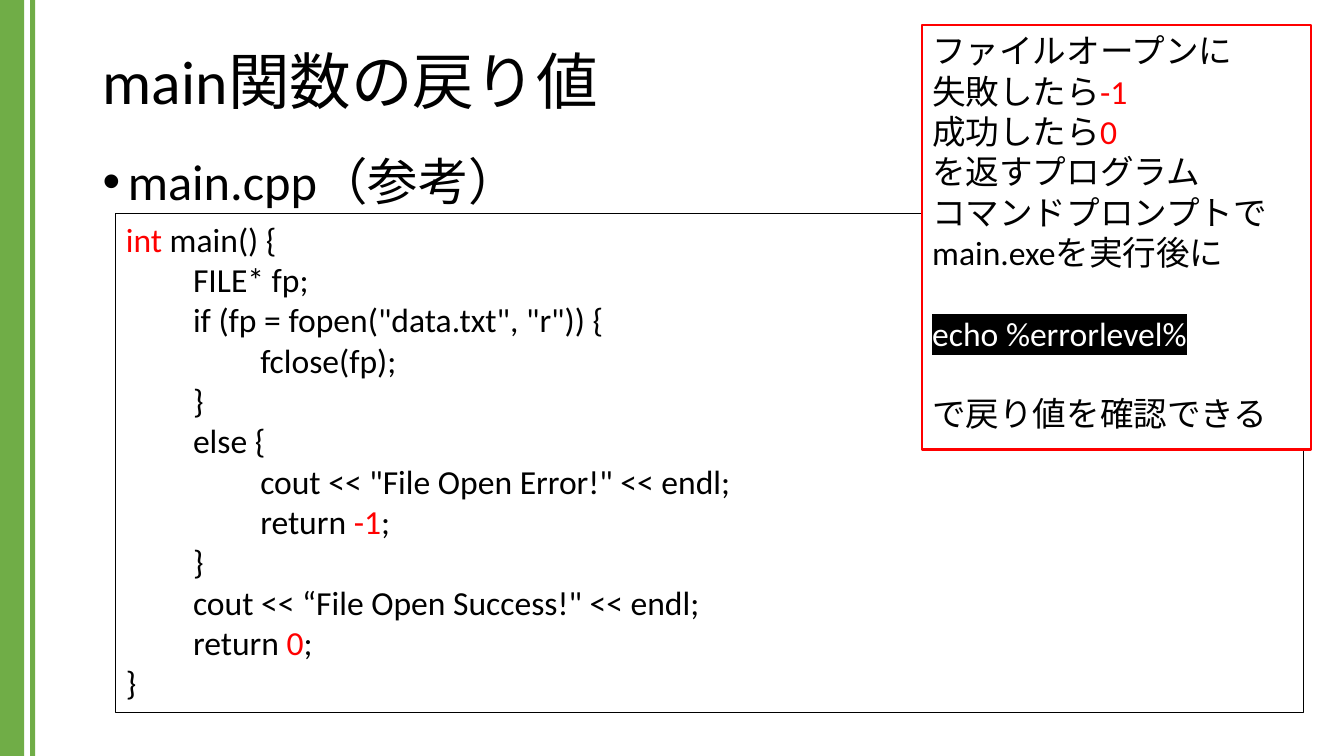
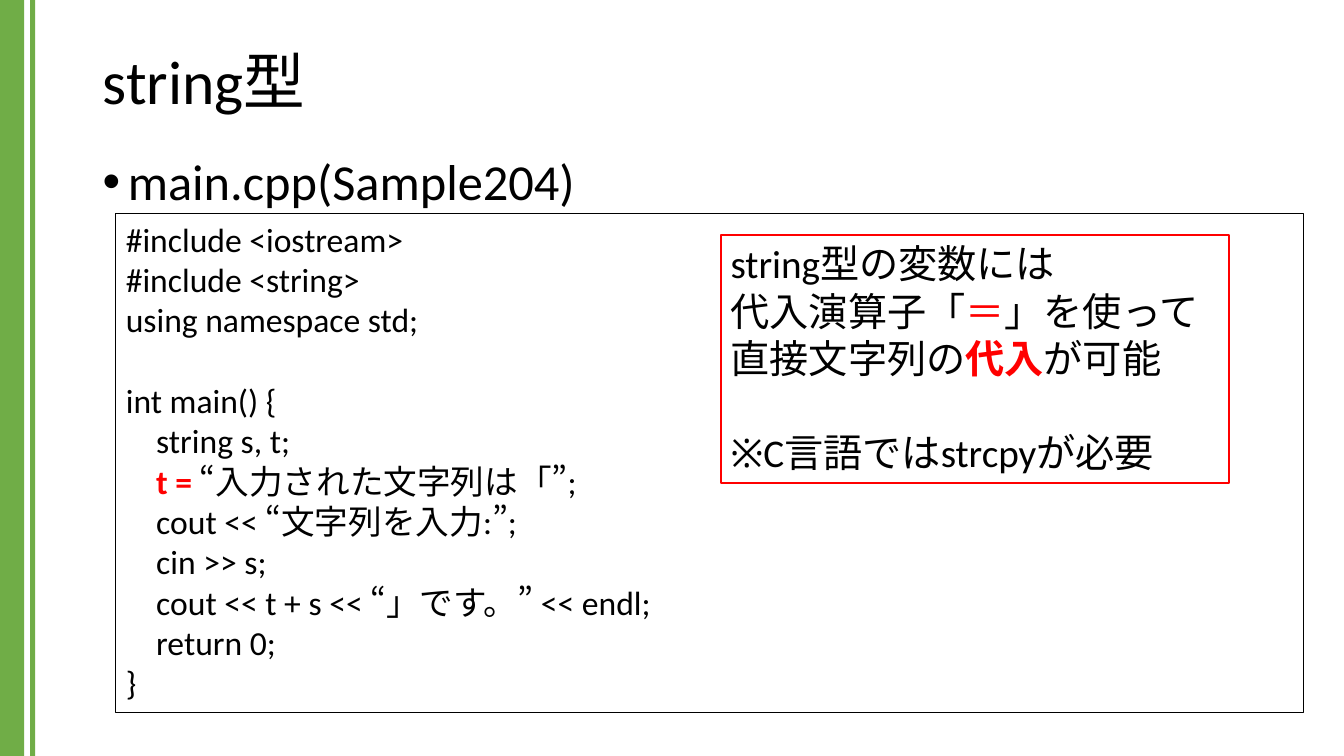
from lxml import etree
from pptx import Presentation
from pptx import util as u
from pptx.dml.color import RGBColor
from pptx.enum import lang, shapes, text
from pptx.oxml import ns

GREEN = RGBColor(0x70, 0xAD, 0x47)
RED = RGBColor(0xFF, 0, 0)
BLACK = RGBColor(0, 0, 0)
WHITE = RGBColor(0xFF, 0xFF, 0xFF)
FONT = "Calibri"
LINE_HEIGHT = 1.2  # times the text size

BANDS = [(0, 0, 0.24, 7.5), (0.3, 0, 0.05, 7.5)]
TITLE_BOX = (0.92, 0.4, 11.5, 0.87)
HEADING_BOX = (0.92, 1.51, 11.5, 0.62)
CODE_BOX = (1.15, 2.12, 11.78, 4.95)

# Run formats
ACCENT = {"color": RED}
STRONG = {"color": RED, "bold": True}
CONSOLE = {"color": WHITE, "highlight": BLACK}

# A line is a string or a list of strings and (string, format) pairs;
# GAP leaves the height of one line above the next.
GAP = None

RETURN_CODE = [
    [("int", ACCENT), " main() {"],
    "　　FILE* fp;",
    '　　if (fp = fopen("data.txt", "r")) {',
    "　　　　fclose(fp);",
    "　　}",
    "　　else {",
    '　　　　cout << "File Open Error!" << endl;',
    ["　　　　return ", ("-1", ACCENT), ";"],
    "　　}",
    '　　cout << “File Open Success!" << endl;',
    ["　　return ", ("0", ACCENT), ";"],
    "}",
]
RETURN_NOTE = [
    "ファイルオープンに",
    ["失敗したら", ("-1", ACCENT)],
    ["成功したら", ("0", ACCENT)],
    "を返すプログラム",
    "コマンドプロンプトで",
    "main.exeを実行後に",
    GAP,
    [("echo %errorlevel%", CONSOLE)],
    GAP,
    "で戻り値を確認できる",
]
STRING_CODE = [
    "#include <iostream>",
    "#include <string>",
    "using namespace std;",
    GAP,
    "int main() {",
    "    string s, t;",
    [("    t =", STRONG), " “", "入力された文字列は「”;"],
    "    cout << “文字列を入力:”;",
    "    cin >> s;",
    "    cout << t + s << “」です。” << endl;",
    "    return 0;",
    "}",
]
STRING_NOTE = [
    "string型の変数には",
    ["代入演算子「", ("＝", ACCENT), "」を使って"],
    ["直接文字列の", ("代入", STRONG), "が可能"],
    GAP,
    "※C言語ではstrcpyが必要",
]


def inches(box):
    return [u.Inches(length) for length in box]


def add_run(paragraph, content, size, color=BLACK, bold=False, highlight=None):
    run = paragraph.add_run()
    run.text = content
    font = run.font
    font.name, font.size, font.bold = FONT, u.Pt(size), bold
    font.language_id = lang.MSO_LANGUAGE_ID.JAPANESE
    font.color.rgb = color
    if highlight is not None:
        # The highlight must follow the fill
        mark = etree.Element(ns.qn("a:highlight"))
        etree.SubElement(mark, ns.qn("a:srgbClr"), val=str(highlight))
        run._r.rPr.find(ns.qn("a:solidFill")).addnext(mark)


def write_text(frame, lines, size, spacing=1.0, anchor=text.MSO_ANCHOR.TOP):
    """Fill a text frame with lines of formatted runs."""
    frame.word_wrap = True
    frame.auto_size = text.MSO_AUTO_SIZE.NONE
    frame.vertical_anchor = anchor
    paragraph, gap = None, 0
    for line in lines:
        if line is GAP:
            gap = size * LINE_HEIGHT
            continue
        paragraph = frame.add_paragraph() if paragraph else frame.paragraphs[0]
        paragraph.alignment = text.PP_ALIGN.LEFT
        paragraph.line_spacing = spacing
        paragraph.space_before = u.Pt(gap)
        gap = 0
        for part in [line] if isinstance(line, str) else line:
            content, style = (part, {}) if isinstance(part, str) else part
            add_run(paragraph, content, size, **style)


def add_band(slide, box):
    """Green stripe on the left edge."""
    band = slide.shapes.add_shape(shapes.MSO_SHAPE.RECTANGLE, *inches(box))
    band.shadow.inherit = False
    band.fill.solid()
    band.fill.fore_color.rgb = GREEN
    band.line.fill.background()


def set_title(slide, box, title):
    shape = slide.shapes.title
    shape.left, shape.top, shape.width, shape.height = inches(box)
    write_text(shape.text_frame, [title], 44, spacing=0.9,
               anchor=text.MSO_ANCHOR.MIDDLE)


def add_heading(slide, box, heading):
    """Bulleted heading above the code."""
    frame = slide.shapes.add_textbox(*inches(box)).text_frame
    properties = frame.paragraphs[0]._p.get_or_add_pPr()
    properties.set("marL", str(u.Inches(0.25)))
    properties.set("indent", str(-u.Inches(0.25)))
    etree.SubElement(properties, ns.qn("a:buFont"), typeface="Arial")
    etree.SubElement(properties, ns.qn("a:buChar"), char="•")
    write_text(frame, [heading], 36, spacing=0.9)


def add_panel(slide, box, lines, size, border, width, fill=None):
    """Framed box of text, for code and notes."""
    panel = slide.shapes.add_textbox(*inches(box))
    panel.line.color.rgb = border
    panel.line.width = u.Pt(width)
    if fill is not None:
        panel.fill.solid()
        panel.fill.fore_color.rgb = fill
    write_text(panel.text_frame, lines, size)


def add_code_slide(presentation, title, heading, code, note, note_box, note_size):
    slide = presentation.slides.add_slide(presentation.slide_layouts[5])
    for band_box in BANDS:
        add_band(slide, band_box)
    set_title(slide, TITLE_BOX, title)
    add_heading(slide, HEADING_BOX, heading)
    add_panel(slide, CODE_BOX, code, 24, BLACK, 0.75)
    add_panel(slide, note_box, note, note_size, RED, 1.5, fill=WHITE)


def main():
    presentation = Presentation()
    presentation.slide_height = u.Inches(7.5)
    presentation.slide_width = presentation.slide_height * 16 // 9

    add_code_slide(
        presentation, "main関数の戻り値", "main.cpp（参考）",
        RETURN_CODE, RETURN_NOTE, (9.15, 0.25, 3.86, 4.21), 24)
    add_code_slide(
        presentation, "string型", "main.cpp(Sample204)",
        STRING_CODE, STRING_NOTE, (7.15, 2.33, 5.04, 2.46), 28)
    presentation.save("out.pptx")


if __name__ == "__main__":
    main()
